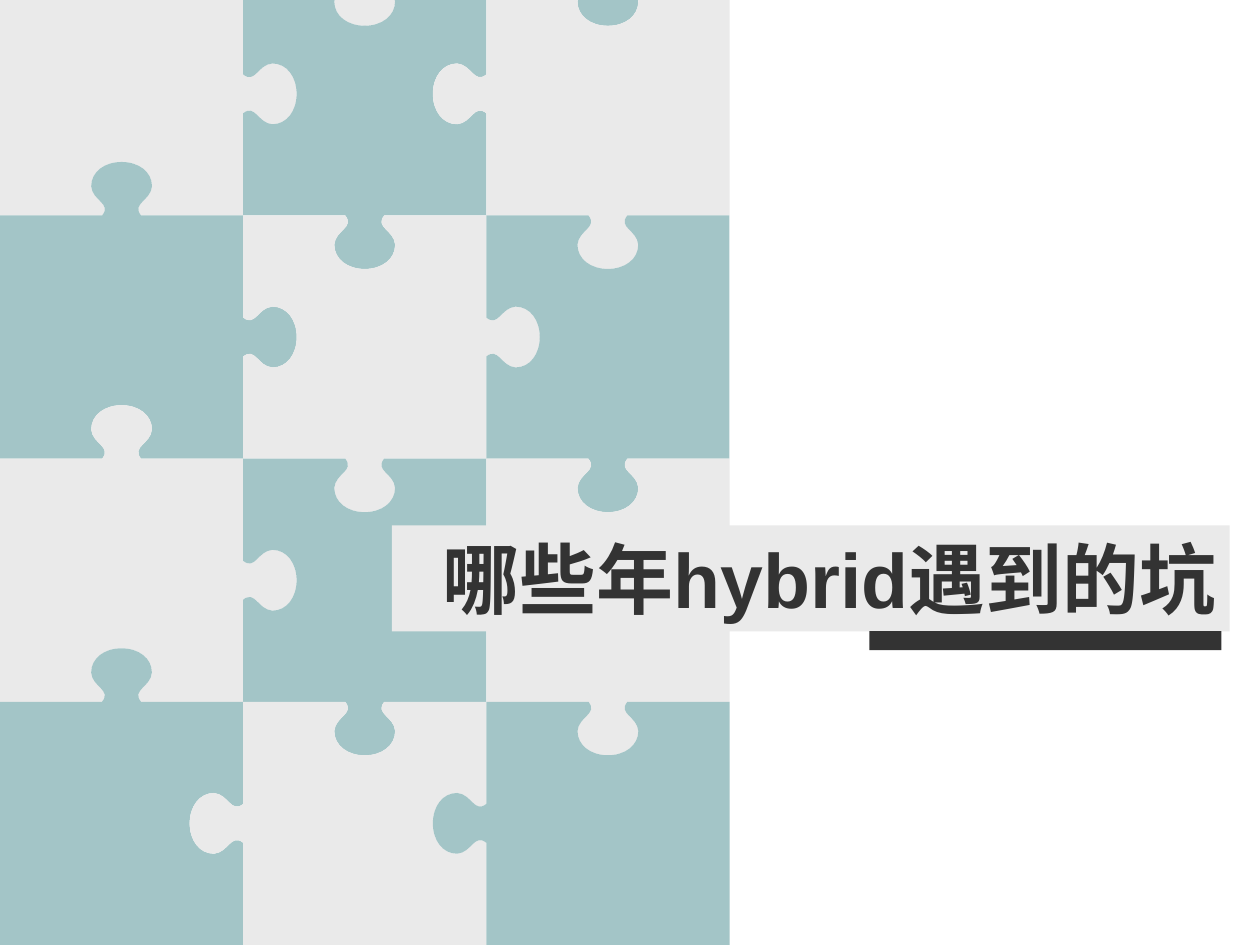
from itertools import product

from pptx import Presentation
from pptx.dml.color import RGBColor
from pptx.enum.shapes import MSO_SHAPE as Shape
from pptx.enum.text import MSO_ANCHOR as Anchor
from pptx.enum.text import MSO_AUTO_SIZE as AutoSize
from pptx.enum.text import PP_ALIGN as Align
from pptx.oxml.ns import qn
from pptx.oxml.xmlchemy import OxmlElement
from pptx.util import Inches, Pt

TEAL = RGBColor(0xA3, 0xC5, 0xC7)
PALE = RGBColor(0xEA, 0xEA, 0xEA)
INK = RGBColor(0x33, 0x33, 0x33)

WIDTH, HEIGHT = Inches(10), Inches(7.5)
CELL = Inches(1.93)
COLUMNS, ROWS = 3, 5

HALF_KNOB = (
    -0.08,
    -0.04 + 0.05j,
    -0.12 + 0.06j,
    -0.125 + 0.12j,
    -0.125 + 0.18j,
    -0.07 + 0.22j,
)
KNOB = (*HALF_KNOB, 0.22j, *(-complex(p).conjugate() for p in reversed(HALF_KNOB)))
KNOBS_DOWN = (-1, 1, 1)
KNOBS_RIGHT = ((1, 1), (1, -1), (1, 1), (1, -1), (-1, -1))


def paint(shape, color):
    """Give a shape a flat fill without line or shadow."""
    shape.fill.solid()
    shape.fill.fore_color.rgb = color
    shape.line.fill.background()
    shape.shadow.inherit = False


def bend(shape, curve_starts):
    """Turn each listed run of three line segments into one cubic curve."""
    outline = shape.element.find(".//" + qn("a:path"))
    segments = list(outline)
    for start in curve_starts:
        curve = OxmlElement("a:cubicBezTo")
        segments[start].addprevious(curve)
        for segment in segments[start : start + 3]:
            curve.append(segment[0])
            outline.remove(segment)


def add_piece(slide, left, top, size, knobs, color):
    """Draw a jigsaw piece whose knobs are top, right, bottom and left."""
    corner, heading = complex(left, top), size
    outline, curve_starts = [], []
    for knob in knobs:
        outline.append(corner)
        if knob:
            first = len(outline) + 1
            curve_starts += range(first, first + len(KNOB) - 1, 3)
            outline += [
                corner + heading * (0.5 + point.real - 1j * knob * point.imag)
                for point in KNOB
            ]
        corner += heading
        heading *= 1j
    start, *rest = [(point.real, point.imag) for point in outline]
    builder = slide.shapes.build_freeform(*start)
    builder.add_line_segments(rest, close=True)
    piece = builder.convert_to_shape()
    bend(piece, curve_starts)
    paint(piece, color)


def add_puzzle(slide, left, bottom, cell):
    """Fill a checkered puzzle that rises from the bottom past the top edge."""
    for row, column in product(range(ROWS), range(COLUMNS)):
        if (row, column) == (0, 0):
            continue
        sideways = (0, *KNOBS_RIGHT[row], 0)
        down = KNOBS_DOWN[column]
        knobs = (
            -down if row else 0,
            sideways[column + 1],
            down if row < ROWS - 1 else 0,
            -sideways[column],
        )
        color = PALE if (row + column) % 2 else TEAL
        top = bottom - (ROWS - row) * cell
        add_piece(slide, left + column * cell, top, cell, knobs, color)


def add_heading(slide, left, top, width, height):
    """Place the title band and the dark bar beneath its right part."""
    title = slide.shapes.title
    title.element.getparent().append(title.element)
    title.left, title.top, title.width, title.height = left, top, width, height
    title.fill.solid()
    title.fill.fore_color.rgb = PALE
    frame = title.text_frame
    frame.text = "哪些年hybrid遇到的坑"
    frame.word_wrap = False
    frame.auto_size = AutoSize.SHAPE_TO_FIT_TEXT
    frame.vertical_anchor = Anchor.TOP
    line = frame.paragraphs[0]
    line.alignment = Align.RIGHT
    line.font.name = "Arial"
    line.font.size = Pt(44)
    line.font.bold = True
    line.font.color.rgb = INK

    bar_width = int(width * 0.42)
    bar_left = left + int(width * 0.99) - bar_width
    bar = slide.shapes.add_shape(
        Shape.RECTANGLE, bar_left, top + height, bar_width, int(height * 0.18)
    )
    paint(bar, INK)


def main():
    """Build and save the cover slide."""
    deck = Presentation()
    deck.slide_width, deck.slide_height = WIDTH, HEIGHT
    cover = deck.slides.add_slide(deck.slide_layouts[5])
    add_puzzle(cover, 0, HEIGHT, CELL)
    add_heading(cover, Inches(3.11), Inches(4.17), Inches(6.65), Inches(0.84))
    deck.save("out.pptx")


if __name__ == "__main__":
    main()
